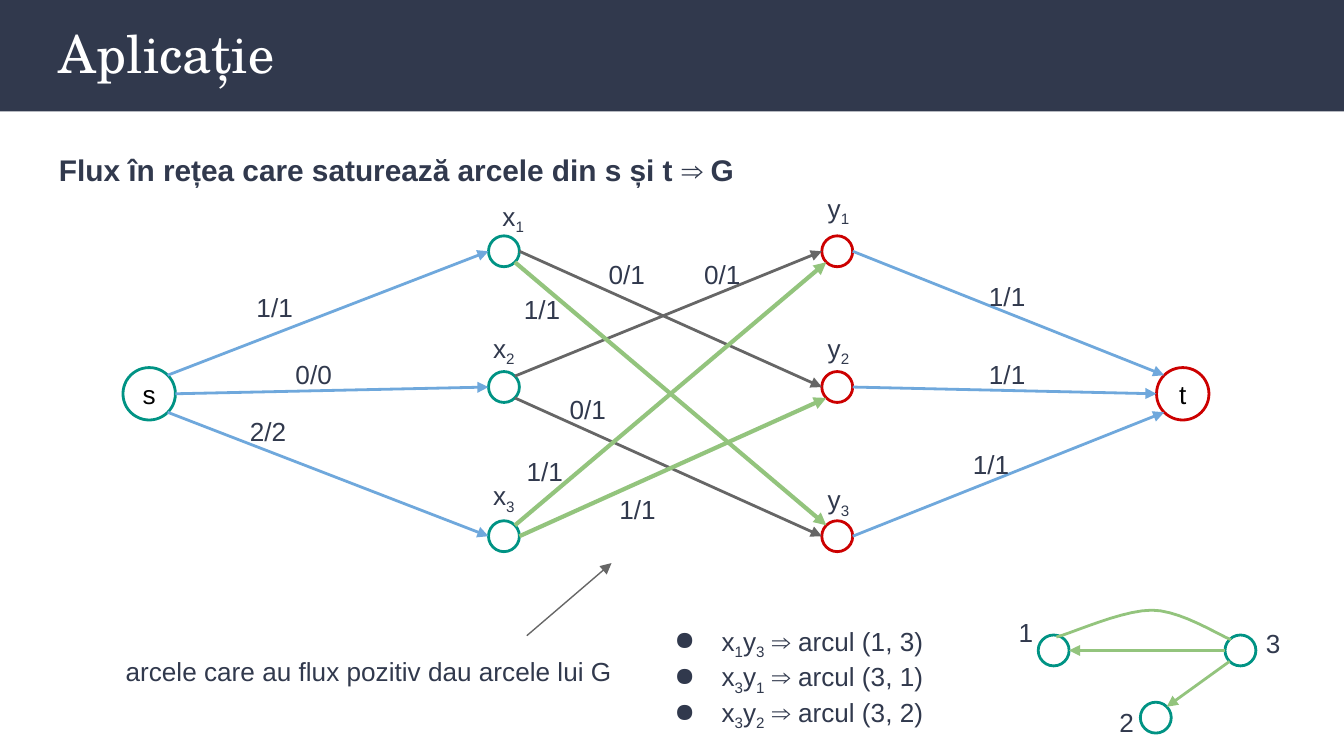
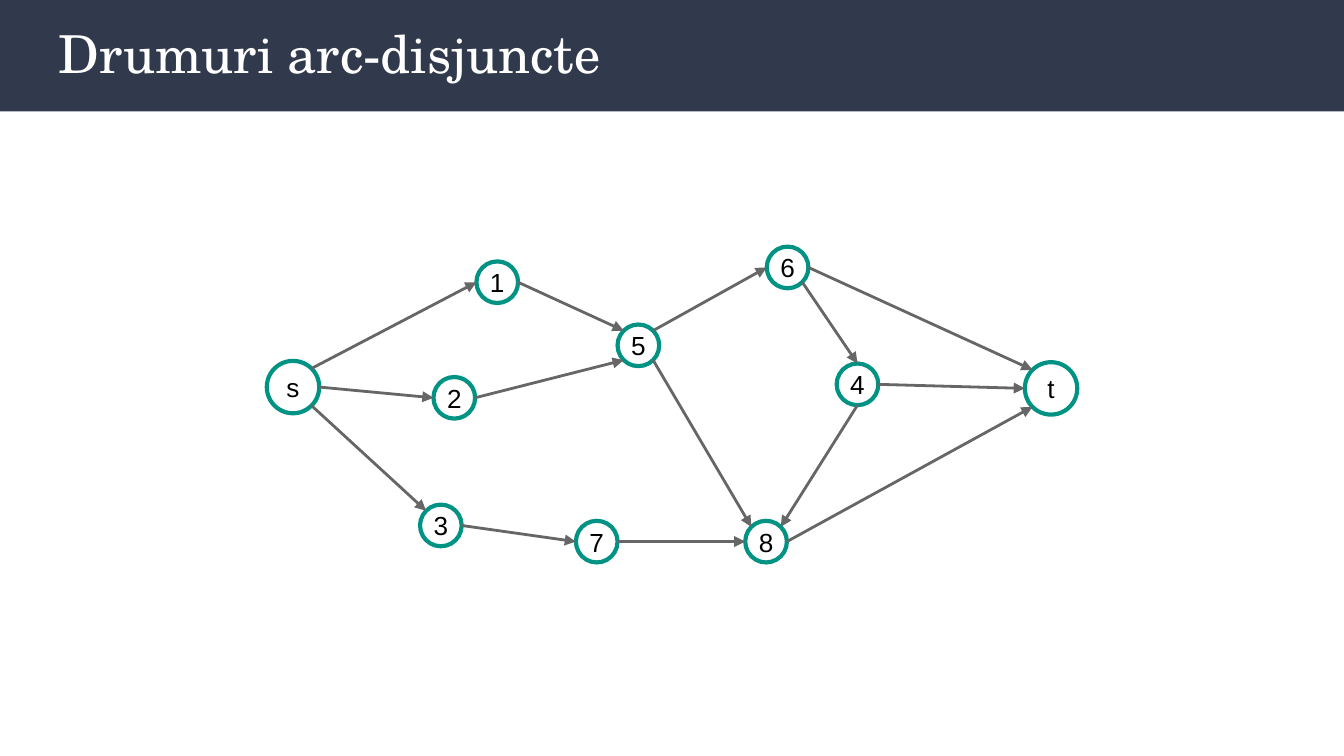
from math import sqrt

from lxml import etree
from pptx import Presentation
from pptx.dml.color import RGBColor
from pptx.enum.shapes import MSO_CONNECTOR, MSO_SHAPE
from pptx.enum.text import MSO_ANCHOR, MSO_AUTO_SIZE, PP_ALIGN
from pptx.oxml.ns import qn
from pptx.util import Inches, Pt

RECT, OVAL = MSO_SHAPE.RECTANGLE, MSO_SHAPE.OVAL
LINE = MSO_CONNECTOR.STRAIGHT
LEFT, MID = PP_ALIGN.LEFT, PP_ALIGN.CENTER
TOP, CORE = MSO_ANCHOR.TOP, MSO_ANCHOR.MIDDLE
GROW = MSO_AUTO_SIZE.SHAPE_TO_FIT_TEXT

INK = {"navy": "31394D", "white": "FFFFFF", "black": "000000",
       "teal": "009384", "red": "CC0000", "gray": "666666",
       "green": "93C47D", "blue": "6FA8DC"}
SANS, SERIF = "Arial", "TeX Gyre Schola"
SMALL, DISC, BIG = 0.23, 0.31, 0.39

# Points on a circle where arcs start and end
D = sqrt(0.5)
PORTS = {"N": (0, -1), "S": (0, 1), "E": (1, 0), "W": (-1, 0),
         "NE": (D, -D), "NW": (-D, -D), "SE": (D, D), "SW": (-D, D)}


def rgb(name):
    return RGBColor.from_string(INK[name])


def port(node, side):
    x, y, r = node
    dx, dy = PORTS[side]
    return x + r * dx, y + r * dy


def bezier(a, b, c, d, steps=10):
    """Points of a cubic curve, without its start."""
    for i in range(1, steps + 1):
        t = i / steps
        u = 1 - t
        yield tuple(u**3 * p + 3 * u * u * t * q + 3 * u * t * t * r + t**3 * s
                    for p, q, r, s in zip(a, b, c, d))


class Deck:
    def __init__(self):
        self.prs = Presentation()
        self.prs.slide_width = Inches(10)
        self.prs.slide_height = Inches(5.625)
        self.slide = None

    def page(self, title):
        """New slide with the top band and its title."""
        self.slide = self.prs.slides.add_slide(self.prs.slide_layouts[6])
        band = self.slide.shapes.add_shape(
            RECT, 0, 0, self.prs.slide_width, Inches(0.83))
        band.shadow.inherit = False
        band.fill.solid()
        band.fill.fore_color.rgb = rgb("navy")
        band.line.fill.background()
        self.text(0.34, 0.06, 9.32, 0.68, title, 28, "white", SERIF, grow=False)

    def frame(self, frame, inset, anchor):
        frame.word_wrap = True
        frame.vertical_anchor = anchor
        frame.margin_left = frame.margin_right = Inches(inset)
        frame.margin_top = frame.margin_bottom = Inches(inset)

    def style(self, para, text, size, ink, face=SANS, bold=False, align=LEFT):
        """Fill a paragraph; a letter after "_" is set as a subscript."""
        head, *tail = text.split("_")
        para.text = head
        for part in tail:
            sub = para.add_run()
            sub.text = part[0]
            sub.font._element.set("baseline", "-25000")
            if part[1:]:
                para.add_run().text = part[1:]
        para.alignment = align
        for run in para.runs:
            run.font.name, run.font.size = face, Pt(size)
            run.font.bold = bold
            run.font.color.rgb = rgb(ink)

    def text(self, x, y, w, h, text, size=14, ink="navy", face=SANS,
             bold=False, align=LEFT, grow=True):
        box = self.slide.shapes.add_textbox(
            Inches(x), Inches(y), Inches(w), Inches(h))
        frame = box.text_frame
        self.frame(frame, 0.1, TOP)
        if grow:
            frame.auto_size = GROW
        self.style(frame.paragraphs[0], text, size, ink, face, bold, align)
        return frame

    def label(self, x, y, text):
        self.text(x, y, 0.52, 0.44, text)

    def bullets(self, x, y, w, h, items):
        frame = self.text(x, y, w, h, items[0])
        for item in items[1:]:
            self.style(frame.add_paragraph(), item, 14, "navy")
        for para in frame.paragraphs:
            props = para._p.get_or_add_pPr()
            props.set("marL", str(Inches(0.5)))
            props.set("indent", str(Inches(-0.35)))
            tint = etree.SubElement(props, qn("a:buClr"))
            etree.SubElement(tint, qn("a:srgbClr"), val=INK["navy"])
            etree.SubElement(props, qn("a:buChar"), char="●")

    def node(self, x, y, size, ink="teal", text="", width=1.5):
        """Circle around a centre; gives back centre and radius."""
        r = size / 2
        disc = self.slide.shapes.add_shape(
            OVAL, Inches(x - r), Inches(y - r), Inches(size), Inches(size))
        disc.shadow.inherit = False
        disc.fill.background()
        disc.line.color.rgb = rgb(ink)
        disc.line.width = Pt(width)
        if text:
            self.frame(disc.text_frame, 0.02, CORE)
            self.style(disc.text_frame.paragraphs[0], text, 14, "black",
                       align=MID)
        return x, y, r

    def arrow(self, start, end, ink="gray", width=1.5):
        line = self.slide.shapes.add_connector(
            LINE, *(Inches(v) for v in (*start, *end)))
        line.line.color.rgb = rgb(ink)
        line.line.width = Pt(width)
        props = line._element.spPr
        etree.SubElement(props.find(qn("a:ln")), qn("a:tailEnd"), type="triangle")
        etree.SubElement(props, qn("a:effectLst"))

    def arcs(self, nodes, links, ink="gray", width=1.5):
        """Arrows from rows such as "s NE x1 W"."""
        for link in links:
            a, out, b, into = link.split()
            self.arrow(port(nodes[a], out), port(nodes[b], into), ink, width)

    def curve(self, points, ink):
        """Smooth line through cubic pieces that share their ends."""
        dots = []
        for i in range(0, len(points) - 1, 3):
            dots += bezier(*points[i:i + 4])
        form = self.slide.shapes.build_freeform(
            *(Inches(v) for v in points[0]), scale=1.0)
        form.add_line_segments(
            [(Inches(x), Inches(y)) for x, y in dots], close=False)
        shape = form.convert_to_shape()
        shape.shadow.inherit = False
        shape.fill.background()
        shape.line.color.rgb = rgb(ink)
        shape.line.width = Pt(1.5)


def flow(deck):
    deck.page("Aplicație")
    lead = deck.text(0.34, 0.99, 9.32, 4.11,
                     "Flux în rețea care saturează arcele din s și t ⇒ G",
                     16, bold=True, grow=False).paragraphs[0]
    lead.line_spacing, lead.space_after = 1.15, Pt(10)

    # Network
    net = {}
    for i, y in enumerate((1.87, 2.88, 3.99), 1):
        net[f"x{i}"] = deck.node(3.75, y, SMALL)
        net[f"y{i}"] = deck.node(6.23, y, SMALL, "red")
    net["s"] = deck.node(1.11, 2.93, BIG, "teal", "s")
    net["t"] = deck.node(8.8, 2.93, BIG, "red", "t")
    deck.arcs(net, ("x1 E y2 W", "x2 NE y1 W", "x2 SE y3 W"))
    deck.arcs(net, ("x1 SE y3 NW", "x3 NE y1 SW", "x3 E y2 SW"), "green", 2.25)
    deck.arcs(net, ("s NE x1 W", "s E x2 W", "s SE x3 W",
                    "y1 E t NW", "y2 E t W", "y3 E t SW"), "blue")

    # Node names and flow/capacity values
    for x, y, name in (
            (3.64, 1.39, "x_1"), (3.57, 2.37, "x_2"), (3.57, 3.47, "x_3"),
            (6.06, 1.33, "y_1"), (6.06, 2.37, "y_2"), (6.06, 3.5, "y_3"),
            (1.81, 2.07, "1/1"), (2.1, 2.57, "0/0"), (1.76, 2.99, "2/2"),
            (7.26, 1.99, "1/1"), (7.26, 2.57, "1/1"), (7.14, 3.24, "1/1"),
            (4.43, 1.82, "0/1"), (3.8, 2.08, "1/1"), (5.14, 1.82, "0/1"),
            (3.82, 3.29, "1/1"), (4.51, 3.57, "1/1"), (4.14, 2.83, "0/1")):
        deck.label(x, y, name)

    # Reading of the flow
    deck.text(0.56, 4.78, 4.37, 0.44,
              "arcele care au flux pozitiv dau arcele lui G", align=MID)
    deck.arrow((3.92, 4.73), (4.55, 4.19), width=0.75)
    pairs = ((1, 3), (3, 1), (3, 2))
    deck.bullets(4.77, 4.55, 2.29, 0.91,
                 [f"x_{a}y_{b} ⇒ arcul ({a}, {b})" for a, b in pairs])

    # Resulting graph G
    graph = {"1": deck.node(7.84, 4.84, SMALL),
             "2": deck.node(8.6, 5.34, SMALL),
             "3": deck.node(9.23, 4.84, SMALL)}
    deck.arcs(graph, ("3 W 1 E", "3 SW 2 NE"), "green")
    deck.curve([(7.86, 4.74), (7.98, 4.71), (8.35, 4.54), (8.57, 4.54),
                (8.78, 4.54), (9.06, 4.72), (9.16, 4.76)], "green")
    for x, y, name in ((7.48, 4.49, "1"), (8.23, 5.16, "2"), (9.32, 4.57, "3")):
        deck.label(x, y, name)


def routes(deck):
    deck.page("Drumuri arc-disjuncte")
    spots = {"s": (2.18, 2.88), "1": (3.7, 2.1), "2": (3.38, 2.96),
             "3": (3.28, 3.91), "4": (6.38, 2.86), "5": (4.75, 2.57),
             "6": (5.86, 1.99), "7": (4.44, 4.03), "8": (5.7, 4.03),
             "t": (7.82, 2.89)}
    net = {name: deck.node(x, y, BIG if name in "st" else DISC,
                           text=name, width=2.25)
           for name, (x, y) in spots.items()}
    deck.arcs(net, ("s NE 1 W", "s E 2 W", "s SE 3 NW", "1 E 5 NW",
                    "2 E 5 SW", "3 E 7 W", "5 NE 6 W", "5 SE 8 NW",
                    "7 E 8 W", "6 SE 4 N", "4 S 8 NE", "6 E t NW",
                    "4 E t W", "8 E t SW"))


def main():
    deck = Deck()
    flow(deck)
    routes(deck)
    deck.prs.save("out.pptx")


if __name__ == "__main__":
    main()
